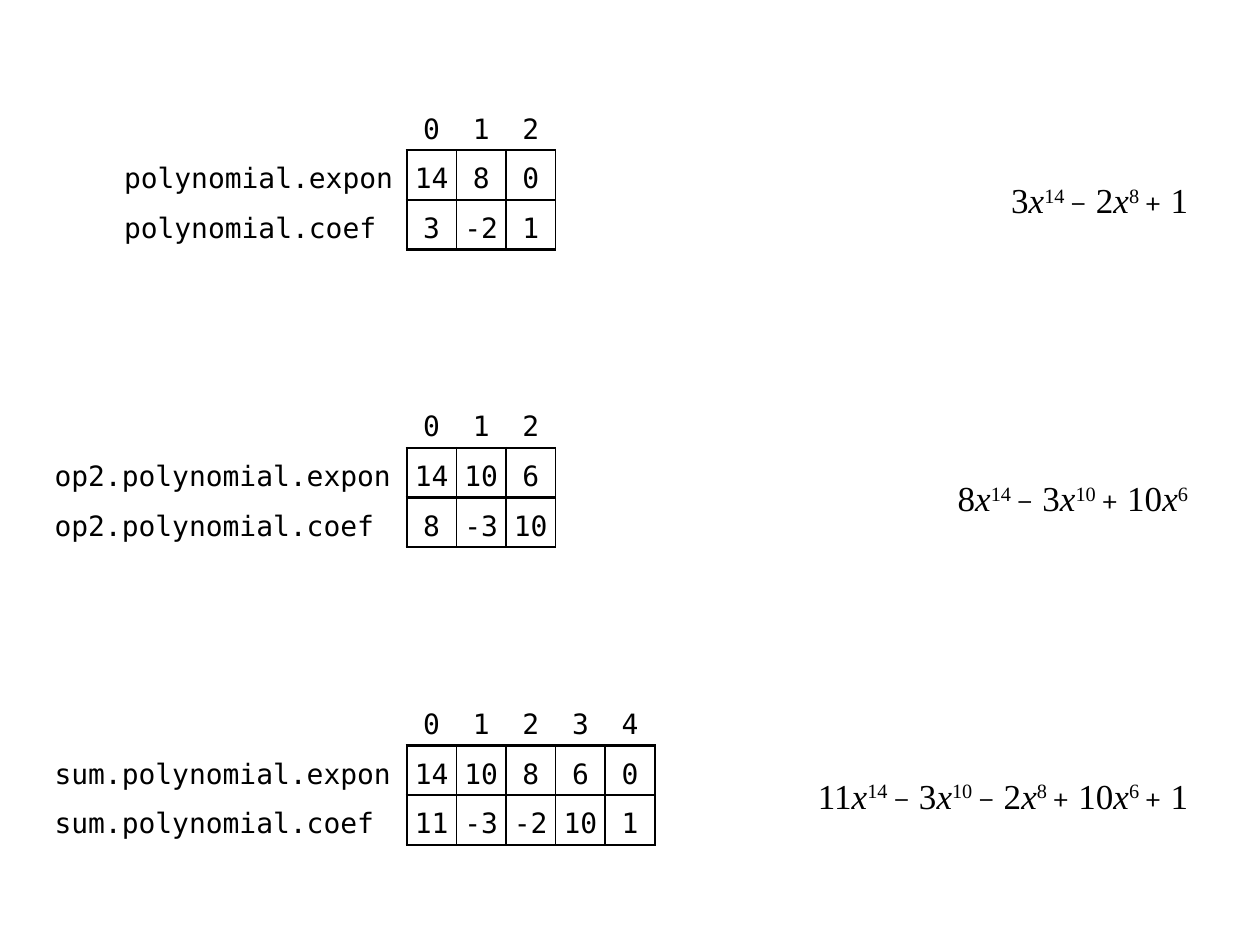
import dataclasses

import pptx
import pptx.dml.color
import pptx.enum.text
import pptx.oxml
import pptx.oxml.ns
import pptx.util
from pptx.util import Cm, Pt


@dataclasses.dataclass(frozen=True)
class Theme:
    """Colours, fonts, type sizes and line widths of the slide."""
    ink: str = "000000"
    code_font: str = "DejaVu Sans Mono"
    math_font: str = "Times New Roman"
    sign_font: str = "Cambria"
    code_size: int = 16
    math_size: int = 20
    sign_size: int = 18
    heavy: float = 1.5
    light: float = 1
    plain_table_style: str = "{2D5ABB26-0587-4C30-8999-92F81FD0307C}"


@dataclasses.dataclass(frozen=True)
class Polynomial:
    """One polynomial with its array name and layout measures in centimetres."""
    name: str
    exponents: list
    coefficients: list
    label_width: float
    label_inset: float
    formula_width: float


THEME = Theme()
CELL = 1
GRID_LEFT = 8.2
FORMULA_RIGHT = 24.2
FIRST_TOP = 2.03
BLOCK_STEP = 6
POLYNOMIALS = [
    Polynomial("polynomial", [14, 8, 0], [3, -2, 1], 6, 0.3, 5),
    Polynomial("op2.polynomial", [14, 10, 6], [8, -3, 10], 7.5, 0.4, 6),
    Polynomial("sum.polynomial", [14, 10, 8, 6, 0], [11, -3, -2, 10, 1], 7.5, 0.4, 9),
]


def format_run(run, font, size):
    """Give a run its typeface, size and the ink colour."""
    run.font.name = font
    run.font.size = Pt(size)
    run.font.color.rgb = pptx.dml.color.RGBColor.from_string(THEME.ink)


def add_run(paragraph, text, font, size, italic=False, superscript=False):
    """Append a formatted run to a paragraph."""
    run = paragraph.add_run()
    run.text = text
    format_run(run, font, size)
    run.font.italic = italic
    if superscript:
        run.font._element.set("baseline", "30000")


def set_borders(cell, **widths):
    """Draw cell borders, given by side (L, R, T, B) with widths in points."""
    properties = cell._tc.get_or_add_tcPr()
    sides = [side for side in "LRTB" if side in widths]
    for index, side in enumerate(sides):
        properties.insert(index, pptx.oxml.parse_xml(
            f'<a:ln{side} {pptx.oxml.ns.nsdecls("a")} w="{Pt(widths[side])}">'
            f'<a:solidFill><a:srgbClr val="{THEME.ink}"/></a:solidFill></a:ln{side}>'))


def fill_cell(cell, text, inset=0, centred=True):
    """Write and format the text of one unfilled table cell."""
    cell.fill.background()
    cell.margin_left = Cm(inset)
    cell.margin_right = Cm(0 if centred else 0.25)
    cell.margin_top = cell.margin_bottom = 0
    cell.vertical_anchor = pptx.enum.text.MSO_ANCHOR.MIDDLE
    cell.text_frame.text = text
    paragraph = cell.text_frame.paragraphs[0]
    paragraph.line_spacing = 1.25
    if centred:
        paragraph.alignment = pptx.enum.text.PP_ALIGN.CENTER
    for run in paragraph.runs:
        format_run(run, THEME.code_font, THEME.code_size)


def add_array_table(slide, polynomial, top):
    """Add the indexed table of exponents and coefficients."""
    count = len(polynomial.exponents)
    frame = slide.shapes.add_table(
        3, count + 1, Cm(GRID_LEFT - polynomial.label_width), Cm(top),
        Cm(polynomial.label_width + count * CELL), Cm(3 * CELL))
    table = frame.table
    table.first_row = table.horz_banding = False
    table._tbl.tblPr.find(pptx.oxml.ns.qn("a:tableStyleId")).text = THEME.plain_table_style
    for index, column in enumerate(table.columns):
        column.width = Cm(CELL if index else polynomial.label_width)
    rows = [
        ["", *range(count)],
        [f"{polynomial.name}.expon", *polynomial.exponents],
        [f"{polynomial.name}.coef", *polynomial.coefficients],
    ]
    for row_index, values in enumerate(rows):
        table.rows[row_index].height = Cm(CELL)
        for column_index, value in enumerate(values):
            cell = table.cell(row_index, column_index)
            is_label = column_index == 0
            fill_cell(cell, str(value), polynomial.label_inset if is_label else 0, not is_label)
            if row_index and is_label:
                set_borders(cell, R=THEME.heavy)
            elif row_index:
                left = THEME.heavy if column_index == 1 else THEME.light
                set_borders(cell, L=left, R=THEME.light, T=THEME.heavy, B=THEME.heavy)
            elif not is_label:
                set_borders(cell, B=THEME.heavy)


def add_formula(slide, polynomial, top):
    """Add the polynomial in mathematical notation, aligned right."""
    box = slide.shapes.add_textbox(
        Cm(FORMULA_RIGHT - polynomial.formula_width), Cm(top),
        Cm(polynomial.formula_width), Cm(CELL))
    frame = box.text_frame
    frame.word_wrap = True
    frame.vertical_anchor = pptx.enum.text.MSO_ANCHOR.MIDDLE
    frame.margin_top = frame.margin_bottom = 0
    paragraph = frame.paragraphs[0]
    paragraph.alignment = pptx.enum.text.PP_ALIGN.RIGHT
    math = (THEME.math_font, THEME.math_size)
    last = len(polynomial.exponents) - 1
    terms = zip(polynomial.coefficients, polynomial.exponents)
    for index, (coefficient, exponent) in enumerate(terms):
        if index:
            sign = "−" if coefficient < 0 else "+"
            add_run(paragraph, sign, THEME.sign_font, THEME.sign_size)
        add_run(paragraph, f"{' ' if index else ''}{abs(coefficient)}", *math)
        if exponent:
            add_run(paragraph, "x", *math, italic=True)
            gap = " " if index < last else ""
            add_run(paragraph, f"{exponent}{gap}", *math, superscript=True)


def main():
    """Build the slide and save it."""
    presentation = pptx.Presentation()
    presentation.slide_width = Cm(25.4)
    presentation.slide_height = Cm(19.05)
    slide = presentation.slides.add_slide(presentation.slide_layouts[6])
    for index, polynomial in enumerate(POLYNOMIALS):
        top = FIRST_TOP + index * BLOCK_STEP
        add_formula(slide, polynomial, top + 1.5 * CELL)
        add_array_table(slide, polynomial, top)
    presentation.save("out.pptx")


if __name__ == "__main__":
    main()
